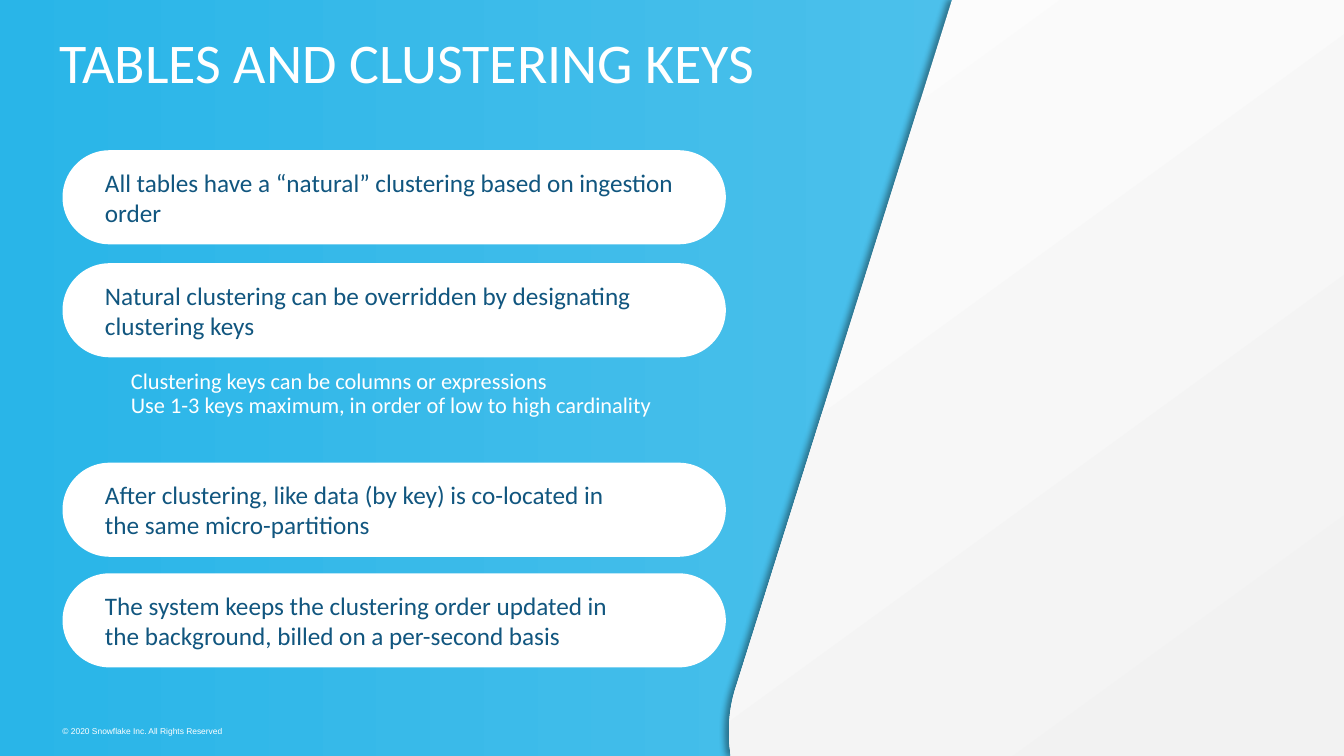
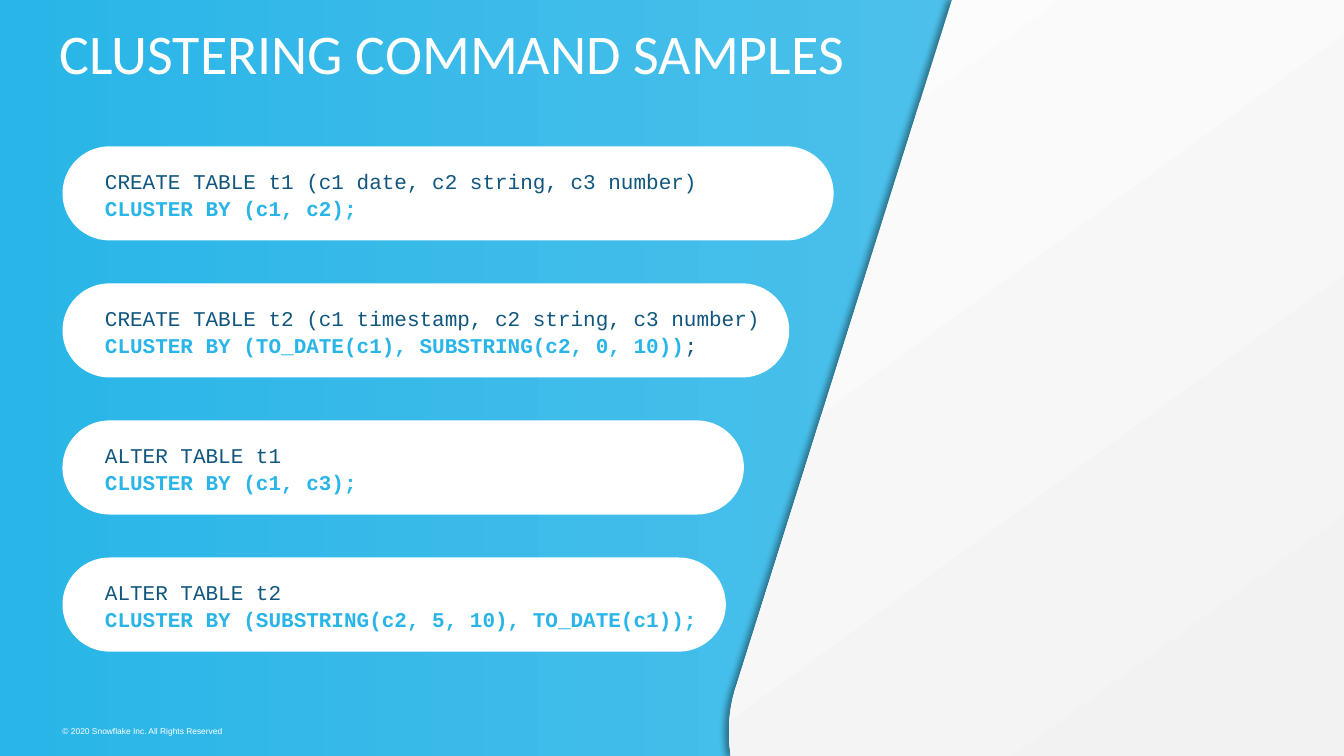
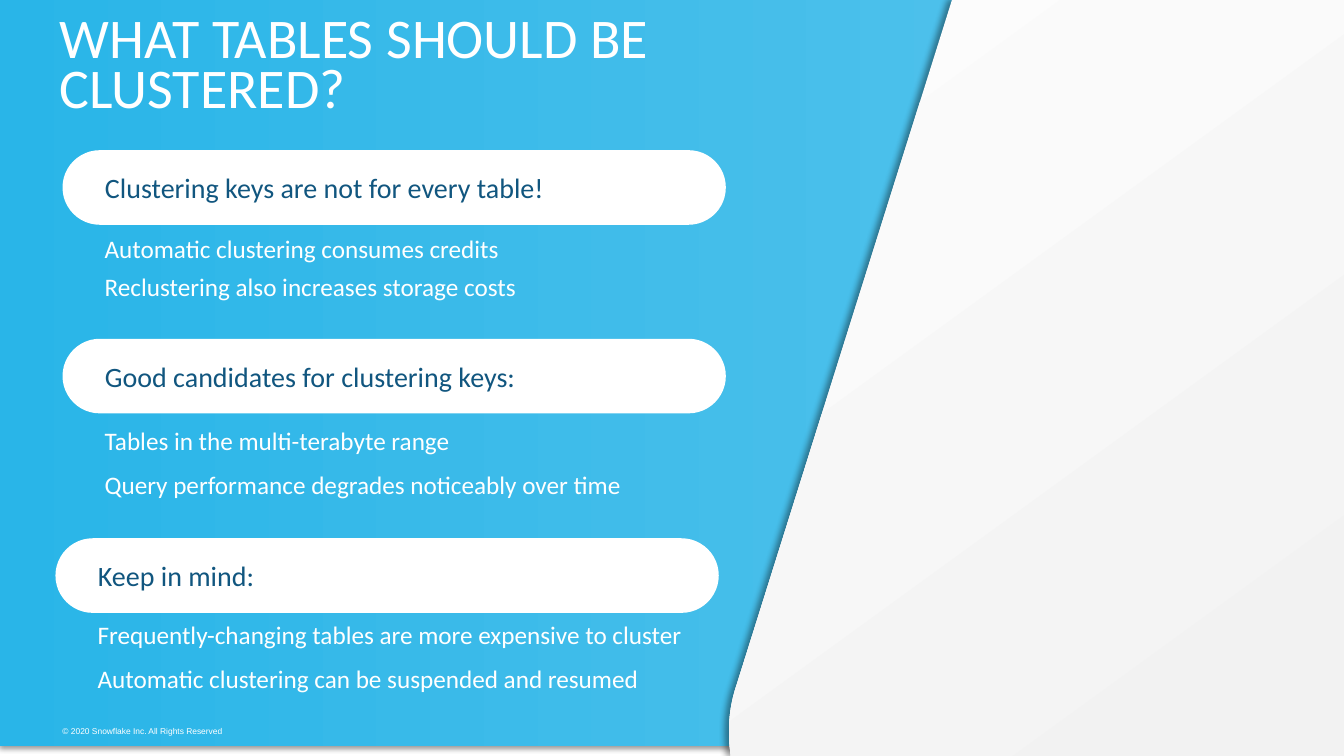
from dataclasses import dataclass

from lxml import etree
from pptx import Presentation
from pptx.dml.color import RGBColor
from pptx.enum.shapes import MSO_SHAPE
from pptx.enum.text import MSO_ANCHOR, MSO_AUTO_SIZE, PP_ALIGN
from pptx.oxml.ns import qn
from pptx.util import Pt

RECTANGLE, PILL = MSO_SHAPE.RECTANGLE, MSO_SHAPE.ROUNDED_RECTANGLE
TOP, MIDDLE = MSO_ANCHOR.TOP, MSO_ANCHOR.MIDDLE
LEFT = PP_ALIGN.LEFT
FIXED = MSO_AUTO_SIZE.NONE

SLIDE_W, SLIDE_H = 960, 540
MARGIN = 44.64
PILL_W, PILL_H = 473.8, 67.2
PILL_TEXT_INDENT = 30.24
NOTE_INDENT = 23.04
CORNER_TEXT_INSET = 0.29  # share of the corner radius kept free of text
TITLE_ONLY = 5


@dataclass(frozen=True)
class Theme:
    white: str = "FFFFFF"
    navy: str = "11567F"
    keyword: str = "2AB5E8"
    shadow: str = "000000"
    backdrop: tuple = ("29B5E8", "5BC5EC")
    panel: tuple = ("FCFCFC", "F2F2F2")
    body_font: str = "Calibri"
    code_font: str = "Courier New"
    footer_font: str = "Arial"
    title_size: float = 40
    heading_size: float = 20
    body_size: float = 18
    note_size: float = 16
    code_size: float = 15
    footer_size: float = 6


THEME = Theme()


def write(shape, paragraphs, *, size, color=THEME.white, font=THEME.body_font,
          anchor=TOP, insets=(7.2, 3.6, 7.2, 3.6), spacing=1.0, after=0):
    """Fill a shape with text; a paragraph is a string or a list of (text, color, bold) runs."""
    frame = shape.text_frame
    frame.word_wrap = True
    frame.auto_size = FIXED
    frame.vertical_anchor = anchor
    (frame.margin_left, frame.margin_top,
     frame.margin_right, frame.margin_bottom) = map(Pt, insets)
    for index, content in enumerate(paragraphs):
        paragraph = frame.add_paragraph() if index else frame.paragraphs[0]
        paragraph.alignment = LEFT
        paragraph.line_spacing = spacing
        paragraph.space_before = Pt(0)
        paragraph.space_after = Pt(after)
        runs = [(content, color, False)] if isinstance(content, str) else content
        for text, run_color, bold in runs:
            run = paragraph.add_run()
            run.text = text
            run.font.name = font
            run.font.size = Pt(size)
            run.font.bold = bold
            run.font.color.rgb = RGBColor.from_string(run_color)


def add_note(slide, box, paragraphs, **style):
    note = slide.shapes.add_textbox(*map(Pt, box))
    write(note, paragraphs, **style)


def shade(shape, colors, angle, shadow_direction):
    """Give a shape a two-colour gradient, no outline and a soft shadow."""
    shape.fill.gradient()
    shape.fill.gradient_angle = angle
    for stop, color in zip(shape.fill.gradient_stops, colors):
        stop.color.rgb = RGBColor.from_string(color)
    shape.line.fill.background()
    shape.shadow.inherit = False
    effects = shape.element.spPr.find(qn("a:effectLst"))
    shadow = etree.SubElement(
        effects, qn("a:outerShdw"), blurRad=str(Pt(4)), dist=str(Pt(3)),
        dir=str(shadow_direction * 60000), algn="ctr", rotWithShape="0")
    tint = etree.SubElement(shadow, qn("a:srgbClr"), val=THEME.shadow)
    etree.SubElement(tint, qn("a:alpha"), val="40000")


def bezier(start, control_1, control_2, end, steps=16):
    """Points along a cubic curve, start left out."""
    points = []
    for step in range(1, steps + 1):
        t = step / steps
        weights = ((1 - t) ** 3, 3 * t * (1 - t) ** 2, 3 * t * t * (1 - t), t ** 3)
        points.append(tuple(
            sum(w * value for w, value in zip(weights, axis))
            for axis in zip(start, control_1, control_2, end)))
    return points


def add_panel(slide):
    """Light panel with a slanted left edge that rounds off at the bottom."""
    corner = (521.28, 533.5)
    outline = [(SLIDE_W, 0), (SLIDE_W, SLIDE_H), (522, SLIDE_H), corner]
    outline += bezier(corner, (519.84, 518.4), (521.28, 503.3), (526.3, 488.9))
    builder = slide.shapes.build_freeform(Pt(680), 0, scale=1.0)
    builder.add_line_segments([(Pt(x), Pt(y)) for x, y in outline], close=True)
    shade(builder.convert_to_shape(), THEME.panel, 306, 180)


def add_base(prs, title_text, title_box, title_spacing=0.74, backdrop_height=SLIDE_H):
    """New slide with backdrop, panel, footer and title."""
    slide = prs.slides.add_slide(prs.slide_layouts[TITLE_ONLY])
    backdrop = slide.shapes.add_shape(RECTANGLE, 0, 0, Pt(SLIDE_W), Pt(backdrop_height))
    shade(backdrop, THEME.backdrop, 0, 90)
    add_panel(slide)
    add_note(slide, (MARGIN, 518.4, 116, 7.2),
             ["© 2020 Snowflake Inc. All Rights Reserved"],
             size=THEME.footer_size, font=THEME.footer_font, insets=(0, 0, 0, 0))
    title = slide.shapes.title
    title.left, title.top, title.width, title.height = map(Pt, title_box)
    write(title, [title_text], size=THEME.title_size, anchor=MIDDLE,
          insets=(14.4, 11.52, 14.4, 11.52), spacing=title_spacing, after=6)
    slide.shapes.element.append(title.element)  # in front of the backdrop
    return slide


def add_pill(slide, box, paragraphs, text_width=None, **style):
    """White pill; its text starts at a fixed indent and may be held to a width."""
    _, _, width, height = box
    pill = slide.shapes.add_shape(PILL, *map(Pt, box))
    pill.adjustments[0] = 0.5
    pill.fill.solid()
    pill.fill.fore_color.rgb = RGBColor.from_string(THEME.white)
    pill.line.fill.background()
    pill.shadow.inherit = False
    corner = CORNER_TEXT_INSET * height / 2
    right = width - PILL_TEXT_INDENT - text_width - corner if text_width else 0
    write(pill, paragraphs, color=THEME.navy, anchor=MIDDLE,
          insets=(PILL_TEXT_INDENT - corner, 0, right, 0), **style)


def add_section(slide, left, top, heading, points, points_offset, after):
    """Heading pill with a list of points below it."""
    add_pill(slide, (left, top, PILL_W, 53.3), [heading], size=THEME.heading_size)
    add_note(slide, (left + NOTE_INDENT, top + points_offset, 490, 58), points,
             size=THEME.body_size, spacing=0.9, after=after)


def build_keys_slide(prs):
    slide = add_base(prs, "TABLES AND CLUSTERING KEYS", (28.08, 18.7, 654.5, 60.5))
    wide, narrow = 418, 371
    statements = [
        (107.3, wide, "All tables have a “natural” clustering based on ingestion order"),
        (188, wide, "Natural clustering can be overridden by designating clustering keys"),
        (330.5, narrow, "After clustering, like data (by key) is co-located in "
                        "the same micro-partitions"),
        (409.5, narrow, "The system keeps the clustering order updated in "
                        "the background, billed on a per-second basis"),
    ]
    for top, text_width, statement in statements:
        add_pill(slide, (MARGIN, top, PILL_W, PILL_H), [statement], text_width,
                 size=THEME.body_size)
    add_note(slide, (86.4, 260.6, 428.4, 42.5),
             ["Clustering keys can be columns or expressions",
              "Use 1-3 keys maximum, in order of low to high cardinality"],
             size=THEME.note_size, spacing=0.9)


def build_commands_slide(prs):
    slide = add_base(prs, "CLUSTERING COMMAND SAMPLES", (28.08, 5.8, 893.5, 68.4),
                     title_spacing=0.9)
    commands = [
        (550.8, "CREATE TABLE t1 (c1 date, c2 string, c3 number)",
         "CLUSTER BY (c1, c2)", ";"),
        (519.1, "CREATE TABLE t2 (c1 timestamp, c2 string, c3 number)",
         "CLUSTER BY (TO_DATE(c1), SUBSTRING(c2, 0, 10))", ""),
        (486.7, "ALTER TABLE t1", "CLUSTER BY (c1, c3)", ";"),
        (PILL_W, "ALTER TABLE t2",
         "CLUSTER BY (SUBSTRING(c2, 5, 10), TO_DATE(c1))", ";"),
    ]
    for row, (width, statement, clause, bold_end) in enumerate(commands):
        clause_runs = [(clause + bold_end, THEME.keyword, True)]
        if not bold_end:
            clause_runs.append((";", THEME.navy, False))
        add_pill(slide, (MARGIN, 104.5 + row * 97.9, width, PILL_H),
                 [statement, clause_runs],
                 size=THEME.code_size, font=THEME.code_font, spacing=1.07)


def build_candidates_slide(prs):
    slide = add_base(prs, "WHAT TABLES SHOULD BE CLUSTERED?", (28.08, 0, 654.5, 97.9),
                     backdrop_height=532.8)
    add_section(slide, MARGIN, 107.3, "Clustering keys are not for every table!",
                ["Automatic clustering consumes credits",
                 "Reclustering also increases storage costs"], 58.3, 8)
    add_section(slide, MARGIN, 242, "Good candidates for clustering keys:",
                ["Tables in the multi-terabyte range",
                 "Query performance degrades noticeably over time"], 60.4, 12)
    add_section(slide, 39.6, 384.5, "Keep in mind:",
                ["Frequently-changing tables are more expensive to cluster",
                 "Automatic clustering can be suspended and resumed"], 56.9, 12)


def main():
    prs = Presentation()
    prs.slide_width, prs.slide_height = Pt(SLIDE_W), Pt(SLIDE_H)
    build_keys_slide(prs)
    build_commands_slide(prs)
    build_candidates_slide(prs)
    prs.save("out.pptx")


if __name__ == "__main__":
    main()
